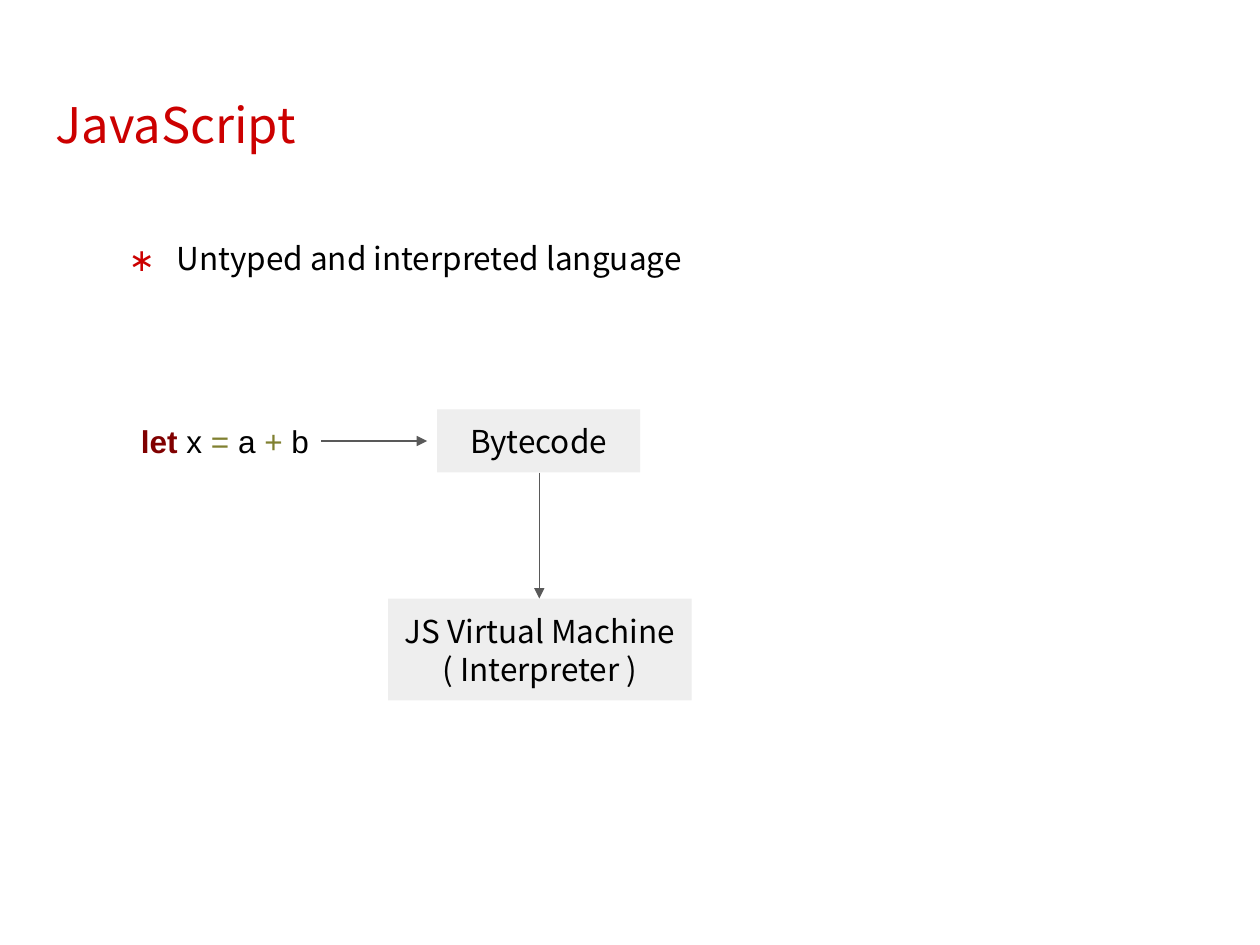
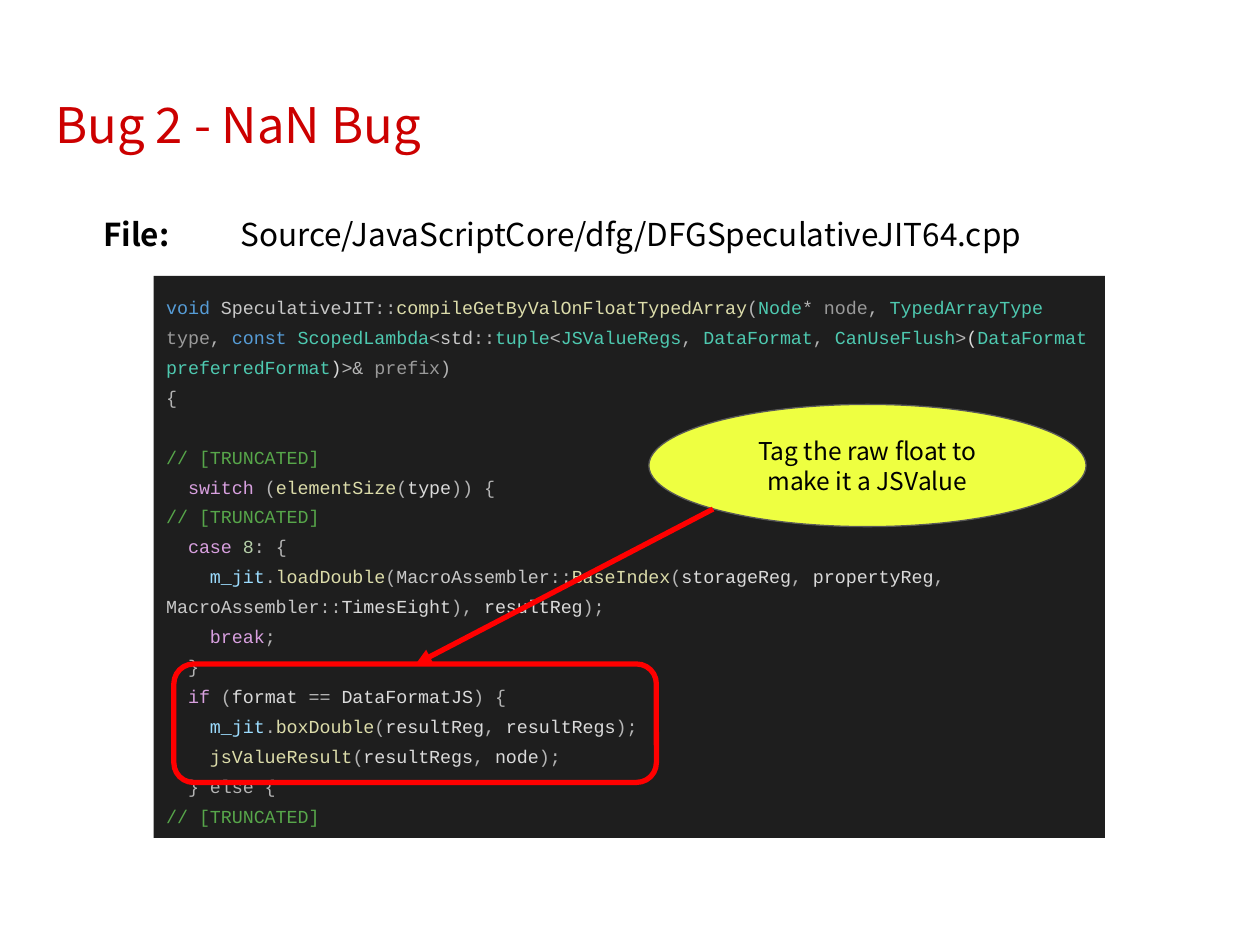
from lxml.etree import SubElement
from pptx import Presentation
from pptx.dml.color import RGBColor
from pptx.enum.shapes import MSO_CONNECTOR, MSO_SHAPE
from pptx.enum.text import MSO_ANCHOR, MSO_AUTO_SIZE, PP_ALIGN
from pptx.oxml.ns import qn
from pptx.util import Pt

PX = 9144  # 100 px to the inch


class Theme:
    sans, arial, mono = "Noto Sans CJK KR", "Arial", "Courier New"
    title_size, body_size, note_size, code_size = 28, 18, 14, 10.5
    thin, thick = 0.75, 3
    red, black, gray = "CC0000", "000000", "595959"
    box, panel, mark, note = "EEEEEE", "1E1E1E", "FF0000", "EEFF41"
    js_word, js_sign = "800000", "808030"
    # Code colours
    keyword, flow, kind, call = "569CD6", "D8A0DF", "4EC9B0", "DCDCAA"
    scope, sign, plain, param = "C8C8C8", "B4B4B4", "DADADA", "9A9A9A"
    member, number, comment = "9CDCFE", "B5CEA8", "57A64A"


T = Theme


def write(p, runs, size, font=T.sans):
    """Add (text, colour[, bold]) runs to a paragraph."""
    for text, color, *bold in runs:
        r = p.add_run()
        r.text = text
        r.font.name, r.font.size = font, Pt(size)
        r.font.bold = bool(bold)
        r.font.color.rgb = RGBColor.from_string(color)


def arrow(s, x1, y1, x2, y2, color, width):
    c = s.shapes.add_connector(MSO_CONNECTOR.STRAIGHT, x1 * PX, y1 * PX, x2 * PX, y2 * PX)
    c.line.color.rgb = RGBColor.from_string(color)
    c.line.width = Pt(width)
    SubElement(c.line._get_or_add_ln(), qn("a:tailEnd"), type="triangle")
    SubElement(c._element.spPr, qn("a:effectLst"))


prs = Presentation()
prs.slide_width, prs.slide_height = 1000 * PX, 750 * PX

# Slides with their shared title style
slides = []
for layout, title in ((1, "JavaScript"), (5, "Bug 2 - NaN Bug")):
    s = prs.slides.add_slide(prs.slide_layouts[layout])
    sp = s.shapes.title
    sp.left, sp.top, sp.width, sp.height = 34 * PX, 65 * PX, 932 * PX, 83 * PX
    p = sp.text_frame.paragraphs[0]
    p.alignment = PP_ALIGN.LEFT
    write(p, [(title, T.red)], T.title_size)
    slides.append(s)
intro, bug = slides

# Intro: bullet
sp = intro.placeholders[1]
sp.left, sp.top, sp.width, sp.height = 80 * PX, 175 * PX, 840 * PX, 463 * PX
p = sp.text_frame.paragraphs[0]
pPr = p._p.get_or_add_pPr()
pPr.set("marL", str(50 * PX))
pPr.set("indent", str(-38 * PX))
SubElement(SubElement(pPr, qn("a:buClr")), qn("a:srgbClr"), val=T.red)
SubElement(pPr, qn("a:buFont"), typeface=T.sans)
SubElement(pPr, qn("a:buChar"), char="∗")
p.line_spacing, p.space_before = 1.15, Pt(0)
write(p, [("Untyped and interpreted language", T.black)], T.body_size)

# Intro: statement
sp = intro.shapes.add_textbox(102 * PX, 325 * PX, 161 * PX, 50 * PX)
write(sp.text_frame.paragraphs[0],
      [("let", T.js_word, True), (" x ", T.black), ("=", T.js_sign),
       (" a ", T.black), ("+", T.js_sign), (" b", T.black)], T.body_size, T.arial)

# Intro: processing boxes
for x, y, w, h, lines in ((347, 325, 161, 50, ["Bytecode"]),
                          (308, 475, 241, 81, ["JS Virtual Machine", "( Interpreter )"])):
    sp = intro.shapes.add_shape(MSO_SHAPE.RECTANGLE, x * PX, y * PX, w * PX, h * PX)
    sp.shadow.inherit = False
    sp.fill.solid()
    sp.fill.fore_color.rgb = RGBColor.from_string(T.box)
    sp.line.fill.background()
    tf = sp.text_frame
    for i, line in enumerate(lines):
        p = tf.add_paragraph() if i else tf.paragraphs[0]
        p.alignment = PP_ALIGN.CENTER
        write(p, [(line, T.black)], T.body_size)

arrow(intro, 255, 350, 339, 350, T.gray, T.thin)
arrow(intro, 428, 375, 428, 475, T.gray, T.thin)

# Bug: code listing, one list of runs a line
truncated = [("// [TRUNCATED]", T.comment)]
code = [
    [("void ", T.keyword), ("SpeculativeJIT", T.scope), ("::", T.sign),
     ("compileGetByValOnFloatTypedArray", T.call), ("(", T.sign), ("Node", T.kind),
     ("* ", T.sign), ("node", T.param), (", ", T.sign), ("TypedArrayType ", T.kind),
     ("type", T.param), (", ", T.sign), ("const ", T.keyword), ("ScopedLambda", T.kind),
     ("<", T.sign), ("std", T.scope), ("::", T.sign), ("tuple", T.kind), ("<", T.sign),
     ("JSValueRegs", T.kind), (", ", T.sign), ("DataFormat", T.kind), (", ", T.sign),
     ("CanUseFlush", T.kind), (">", T.sign), ("(", T.plain),
     ("DataFormat preferredFormat", T.kind), (")", T.plain), (">& ", T.sign),
     ("prefix", T.param), (")", T.sign)],
    [("{", T.sign)],
    truncated,
    [("  switch ", T.flow), ("(", T.sign), ("elementSize", T.call), ("(", T.sign),
     ("type", T.plain), (")) {", T.sign)],
    truncated,
    [("  case ", T.flow), ("8", T.number), (": {", T.sign)],
    [("    m_jit", T.member), (".", T.sign), ("loadDouble", T.call), ("(", T.sign),
     ("MacroAssembler", T.scope), ("::", T.sign), ("BaseIndex", T.call), ("(", T.sign),
     ("storageReg", T.plain), (",", T.sign), (" propertyReg", T.plain), (", ", T.sign),
     ("MacroAssembler", T.scope), ("::", T.sign), ("TimesEight", T.plain), ("),", T.sign),
     (" resultReg", T.plain), (");", T.sign)],
    [("    break", T.flow), (";", T.sign)],
    [("  }", T.sign)],
    [("  if ", T.flow), ("(", T.sign), ("format ", T.plain), ("==", T.sign),
     (" DataFormatJS", T.plain), (") {", T.sign)],
    [("    m_jit", T.member), (".", T.sign), ("boxDouble", T.call), ("(", T.sign),
     ("resultReg", T.plain), (",", T.sign), (" resultRegs", T.plain), (");", T.sign)],
    [("    jsValueResult", T.call), ("(", T.sign), ("resultRegs", T.plain), (",", T.sign),
     (" node", T.plain), (");", T.sign)],
    [("  } else {", T.sign)],
    truncated,
]
sp = bug.shapes.add_shape(MSO_SHAPE.RECTANGLE, 122 * PX, 219 * PX, 755 * PX, 446 * PX)
sp.shadow.inherit = False
sp.fill.solid()
sp.fill.fore_color.rgb = RGBColor.from_string(T.panel)
sp.line.fill.background()
tf = sp.text_frame
tf.vertical_anchor = MSO_ANCHOR.TOP
for i, runs in enumerate(code):
    p = tf.add_paragraph() if i else tf.paragraphs[0]
    p.alignment, p.line_spacing = PP_ALIGN.LEFT, 1.36
    write(p, runs, T.code_size, T.mono)
tf.paragraphs[2].space_before = Pt(17)  # one line's gap after the brace

# Bug: file name
sp = bug.shapes.add_textbox(72 * PX, 113 * PX, 840 * PX, 141 * PX)
sp.text_frame.vertical_anchor = MSO_ANCHOR.MIDDLE
p = sp.text_frame.paragraphs[0]
tabs = SubElement(p._p.get_or_add_pPr(), qn("a:tabLst"))
SubElement(tabs, qn("a:tab"), pos=str(109 * PX), algn="l")
p.line_spacing, p.space_after = 1.15, Pt(12)
write(p, [("File:", T.black, True),
          ("\tSource/JavaScriptCore/dfg/DFGSpeculativeJIT64.cpp", T.black)], T.body_size)

# Bug: frame around the tagging code
sp = bug.shapes.add_shape(MSO_SHAPE.ROUNDED_RECTANGLE, 138 * PX, 527 * PX, 383 * PX, 94 * PX)
sp.shadow.inherit = False
sp.fill.background()
sp.line.color.rgb = RGBColor.from_string(T.mark)
sp.line.width = Pt(T.thick)

# Bug: callout
sp = bug.shapes.add_shape(MSO_SHAPE.OVAL, 515 * PX, 321 * PX, 347 * PX, 97 * PX)
sp.shadow.inherit = False
sp.fill.solid()
sp.fill.fore_color.rgb = RGBColor.from_string(T.note)
sp.line.color.rgb = RGBColor.from_string(T.gray)
sp.line.width = Pt(T.thin)
p = sp.text_frame.paragraphs[0]
p.alignment = PP_ALIGN.CENTER
write(p, [("Tag the raw float to make it a JSValue", T.black)], T.note_size)
arrow(bug, 566, 404, 330, 527, T.mark, T.thick)

# Shared text frame settings
for s in slides:
    for sp in s.shapes:
        if sp.has_text_frame:
            tf = sp.text_frame
            tf.word_wrap, tf.auto_size = True, MSO_AUTO_SIZE.NONE
            tf.margin_left = tf.margin_right = tf.margin_top = tf.margin_bottom = 10 * PX
            if tf.vertical_anchor is None:
                tf.vertical_anchor = MSO_ANCHOR.TOP

prs.save("out.pptx")
